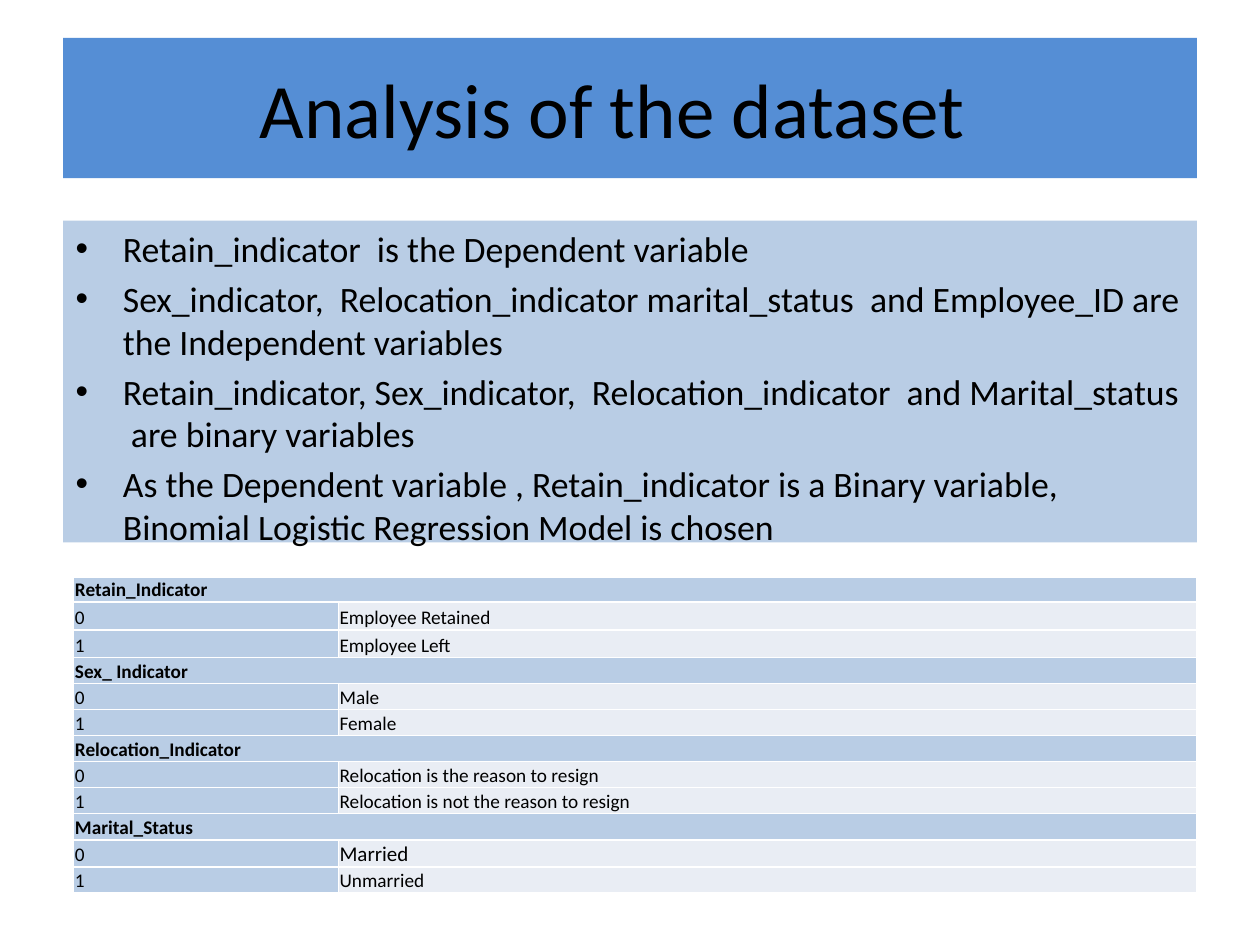
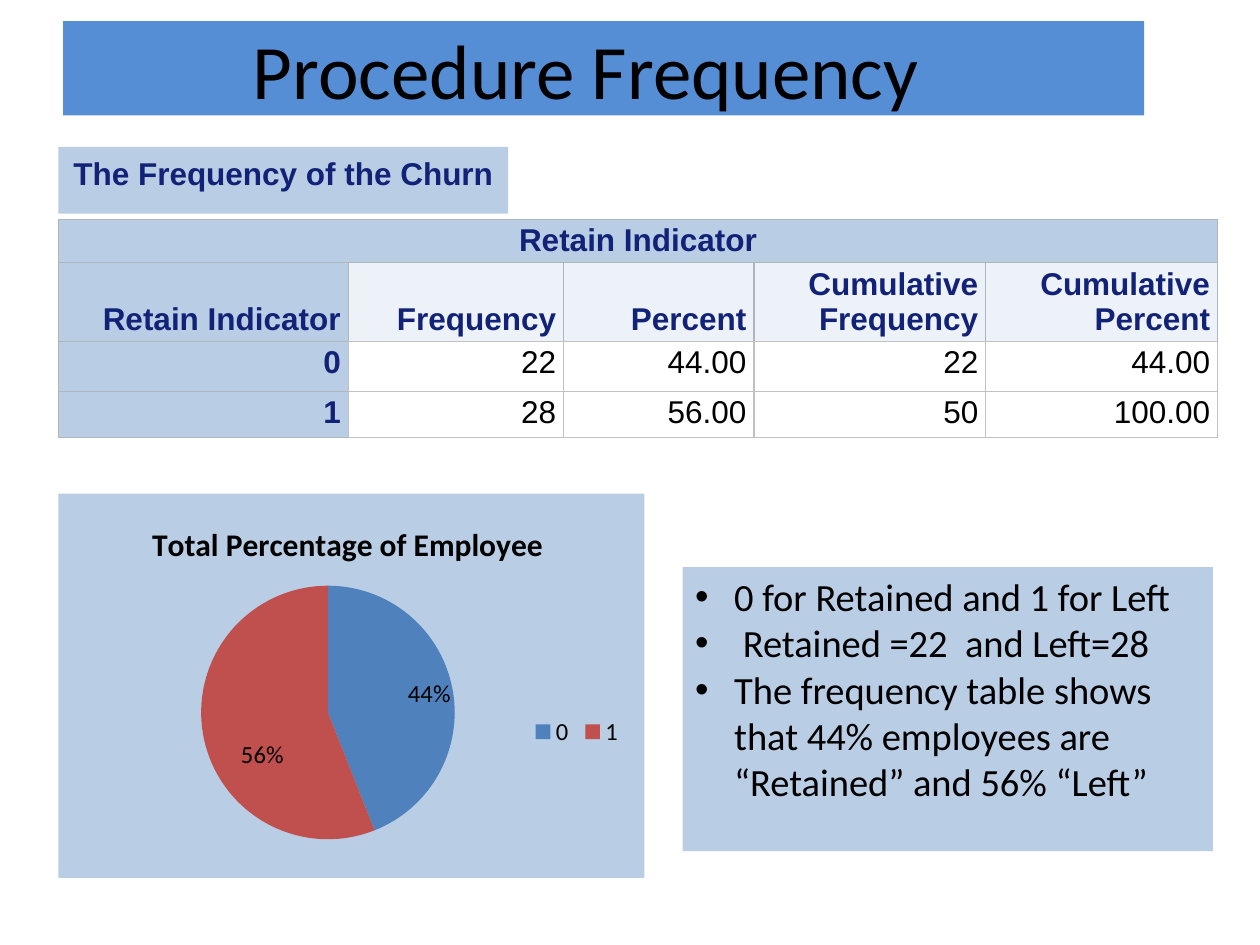
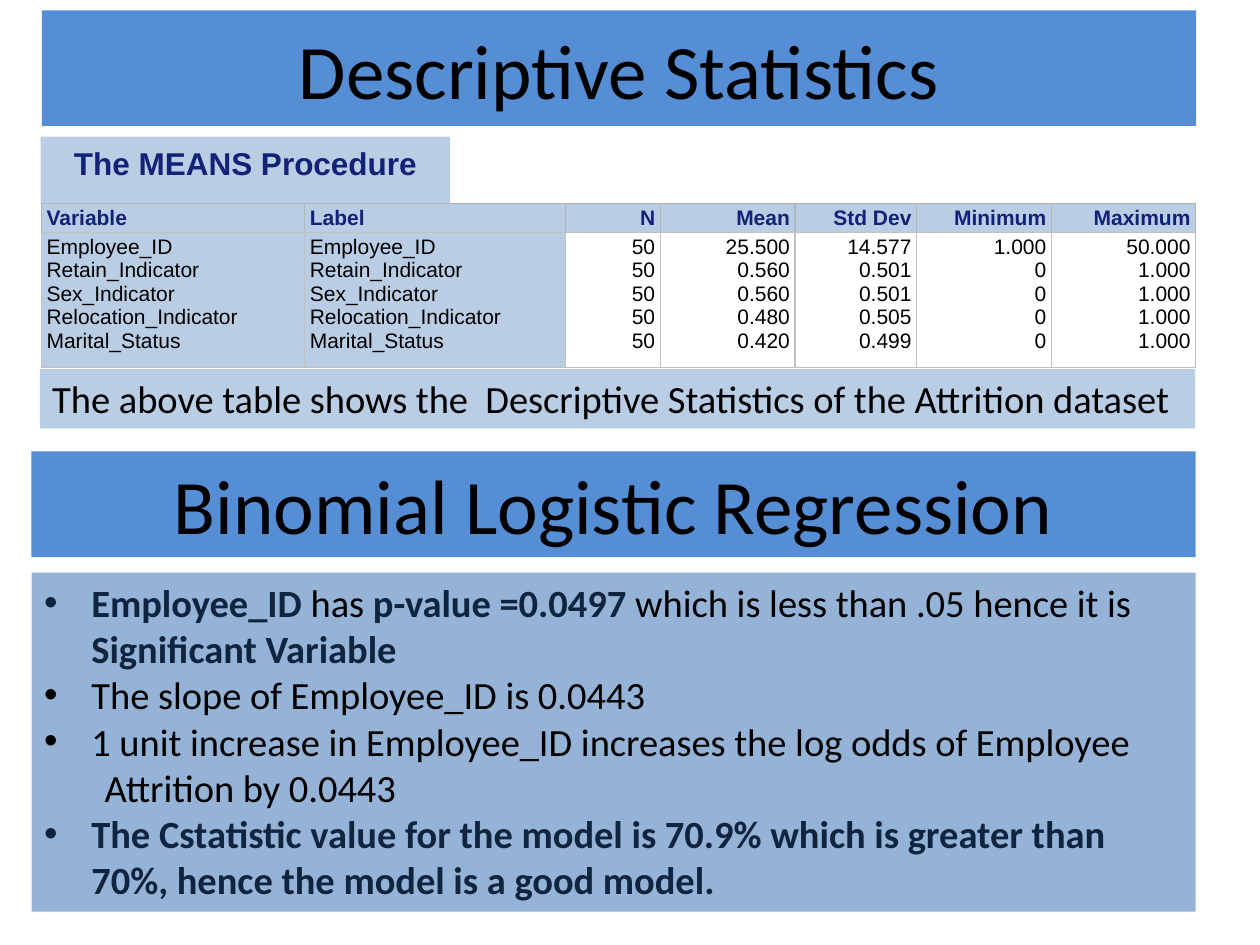
from dataclasses import dataclass, replace

from pptx import Presentation
from pptx.chart.data import CategoryChartData
from pptx.dml.color import RGBColor
from pptx.enum.chart import XL_CHART_TYPE as ChartType
from pptx.enum.chart import XL_LABEL_POSITION as LabelPos
from pptx.enum.chart import XL_LEGEND_POSITION as LegendPos
from pptx.enum.text import MSO_ANCHOR as Anchor
from pptx.enum.text import MSO_AUTO_SIZE as AutoSize
from pptx.enum.text import PP_ALIGN as Align
from pptx.oxml import parse_xml
from pptx.oxml.ns import nsdecls, qn
from pptx.util import Inches, Pt

COLUMNS, ROWS = 100, 75
CELL = Inches(0.1)

BAND = RGBColor(0x55, 0x8E, 0xD5)
PANEL = RGBColor(0xB9, 0xCD, 0xE5)
DEEP_PANEL = RGBColor(0x95, 0xB3, 0xD7)
PALE = RGBColor(0xE9, 0xED, 0xF4)
HEADER_PALE = RGBColor(0xED, 0xF2, 0xF9)
WHITE = RGBColor(0xFF, 0xFF, 0xFF)
BLACK = RGBColor(0x00, 0x00, 0x00)
NAVY = RGBColor(0x11, 0x22, 0x77)
INK = RGBColor(0x0F, 0x24, 0x3E)
RULE = RGBColor(0xC1, 0xC1, 0xC1)
HEADER_RULE = RGBColor(0xB0, 0xB7, 0xBB)
SLICES = (RGBColor(0x4F, 0x81, 0xBD), RGBColor(0xC0, 0x50, 0x4D))


@dataclass(frozen=True)
class Style:
    size: float
    font: str = "Calibri"
    color: RGBColor = BLACK
    bold: bool = False


@dataclass(frozen=True)
class Look:
    style: Style
    fill: RGBColor
    rule: RGBColor
    align: Align = Align.LEFT
    anchor: Anchor = Anchor.BOTTOM


TITLE = Style(44)
BODY = Style(22)
STRONG = Style(22, color=INK, bold=True)
LABEL = Style(18, "Arial", NAVY, True)


def grid(n):
    return int(n * CELL)


def place(sp, at):
    sp.left, sp.top, sp.width, sp.height = map(grid, at)


def style_font(f, style):
    f.size, f.name, f.bold = Pt(style.size), style.font, style.bold
    f.color.rgb = style.color


def add_run(p, text, style):
    r = p.add_run()
    r.text = text
    style_font(r.font, style)


def fill_panel(sp, at, color):
    place(sp, at)
    sp.fill.solid()
    sp.fill.fore_color.rgb = color
    tf = sp.text_frame
    tf.word_wrap = True
    tf.auto_size = AutoSize.NONE
    return tf


def add_title(s, text, at, right_inset=1):
    tf = fill_panel(s.shapes.title, at, BAND)
    tf.margin_right = grid(right_inset)
    add_run(tf.paragraphs[0], text, TITLE)


def add_bullets(s, items, at, color, hang, before=0):
    tf = fill_panel(s.placeholders[1], at, color)
    for i, runs in enumerate(items):
        p = tf.paragraphs[0] if i == 0 else tf.add_paragraph()
        p.space_before = Pt(before)
        pPr = p._p.get_or_add_pPr()
        pPr.set("marL", str(grid(hang)))
        pPr.set("indent", str(-grid(hang)))
        for text, style in runs:
            add_run(p, text, style)
    return tf


def drop_bullet(p, left):
    pPr = p._p.get_or_add_pPr()
    pPr.set("marL", str(grid(left)))
    pPr.set("indent", "0")
    pPr.append(parse_xml(f"<a:buNone {nsdecls('a')}/>"))


def add_text_panel(s, text, at, style, color=PANEL, align=Align.LEFT):
    tf = fill_panel(s.shapes.add_textbox(0, 0, 0, 0), at, color)
    tf.paragraphs[0].alignment = align
    add_run(tf.paragraphs[0], text, style)
    return tf


def add_label(s, text, at):
    tf = add_text_panel(s, text, at, LABEL, align=Align.CENTER)
    tf.vertical_anchor = Anchor.MIDDLE
    tf.margin_bottom = grid(1.7)


def add_borders(cell, color, width):
    tcPr = cell._tc.get_or_add_tcPr()
    for side in "LRTB":
        tcPr.append(parse_xml(
            f'<a:ln{side} {nsdecls("a")} w="{Pt(width)}"><a:solidFill>'
            f'<a:srgbClr val="{color}"/></a:solidFill></a:ln{side}>'))


def fill_cell(cell, paragraphs, look, insets, border):
    cell.margin_left, cell.margin_top, cell.margin_right, cell.margin_bottom = map(grid, insets)
    cell.vertical_anchor = look.anchor
    add_borders(cell, look.rule, border)
    cell.fill.solid()
    cell.fill.fore_color.rgb = look.fill
    tf = cell.text_frame
    for i, text in enumerate(paragraphs):
        p = tf.paragraphs[0] if i == 0 else tf.add_paragraph()
        p.alignment = look.align
        for k, line in enumerate(text.split("\n")):
            if k:
                p.add_line_break()
            add_run(p, line, look.style)


def add_grid_table(s, data, left, top, widths, heights, look_at, insets, border=0.75):
    at = map(grid, (left, top, sum(widths), sum(heights)))
    table = s.shapes.add_table(len(heights), len(widths), *at).table
    table.first_row = table.horz_banding = False
    for column, width in zip(table.columns, widths):
        column.width = grid(width)
    for row, height in zip(table.rows, heights):
        row.height = grid(height)
    for i, texts in enumerate(data):
        for j in range(len(widths)):
            content = texts[j] if j < len(texts) else ()
            paragraphs = (content,) if isinstance(content, str) else content
            fill_cell(table.cell(i, j), paragraphs, look_at(i, j), insets, border)
        if len(texts) == 1:
            table.cell(i, 0).merge(table.cell(i, len(widths) - 1))


def set_layout(parent, index, inner=False, edge=True, **sizes):
    for old in parent.findall(qn("c:layout")):
        parent.remove(old)
    target = '<c:layoutTarget val="inner"/>' if inner else ""
    modes = '<c:xMode val="edge"/><c:yMode val="edge"/>' if edge else ""
    values = "".join(f'<c:{name} val="{value}"/>' for name, value in sizes.items())
    parent.insert(index, parse_xml(
        f'<c:layout {nsdecls("c")}><c:manualLayout>{target}{modes}{values}'
        '</c:manualLayout></c:layout>'))


def label_slices(series):
    labels = series.data_labels
    labels.show_value = True
    style_font(labels.font, Style(14))

    retained = series.points[0].data_label
    style_font(retained.font, Style(14))
    retained.position = LabelPos.INSIDE_END
    dLbl = retained._get_or_add_dLbl()
    dLbl.find(qn("c:showVal")).set("val", "0")
    dLbl.find(qn("c:showPercent")).set("val", "1")
    set_layout(dLbl, 1, edge=False, x=0.01, y=-0.03)

    left = series.points[1].data_label
    add_run(left.text_frame.paragraphs[0], " 56%", Style(14))
    left.position = LabelPos.CENTER
    set_layout(left._get_or_add_dLbl(), 1, edge=False, x=-0.01, y=0.08)


def add_pie(s, title, categories, values, at):
    data = CategoryChartData()
    data.categories = categories
    data.add_series("Series 1", values)
    chart = s.shapes.add_chart(ChartType.PIE, *map(grid, at), data).chart
    style_font(chart.font, Style(10))
    chart.has_title = True
    add_run(chart.chart_title.text_frame.paragraphs[0], title, Style(18, bold=True))

    chart.has_legend = True
    chart.legend.position = LegendPos.TOP
    chart.legend.include_in_layout = False
    style_font(chart.legend.font, Style(14))

    plot = chart.plots[0]
    plot.vary_by_categories = True
    series = plot.series[0]
    for i, color in enumerate(SLICES):
        fill = series.points[i].format.fill
        fill.solid()
        fill.fore_color.rgb = color
    label_slices(series)

    space = chart._chartSpace
    set_layout(chart.chart_title._element, 1, x=0.15, y=0.06)
    set_layout(space.chart.plotArea, 0, inner=True, x=0.24, y=0.24, w=0.44, h=0.66)
    set_layout(chart.legend._element, 1, x=0.8, y=0.58, w=0.17, h=0.08)
    space.chart.addnext(parse_xml(
        f'<c:spPr {nsdecls("c", "a")}><a:solidFill><a:srgbClr val="{PANEL}"/></a:solidFill>'
        '<a:ln><a:noFill/></a:ln></c:spPr>'))


def dataset_slide(s):
    add_title(s, "Analysis of the dataset", (5, 3, 90, 11.15), right_inset=3.8)
    points = (
        "Retain_indicator  is the Dependent variable",
        "Sex_indicator,  Relocation_indicator marital_status  and Employee_ID are "
        "the Independent variables",
        "Retain_indicator, Sex_indicator,  Relocation_indicator  and Marital_status  "
        "are binary variables",
        "As the Dependent variable , Retain_indicator is a Binary variable, "
        "Binomial Logistic Regression Model is chosen",
    )
    add_bullets(s, [[(text, Style(20.4))] for text in points],
                (5, 17.5, 90, 25.55), PANEL, hang=3.75, before=4)
    codes = (
        ("Retain_Indicator", "Employee Retained", "Employee Left"),
        ("Sex_ Indicator", "Male", "Female"),
        ("Relocation_Indicator", "Relocation is the reason to resign",
         "Relocation is not the reason to resign"),
        ("Marital_Status", "Married", "Unmarried"),
    )
    data = [row for name, zero, one in codes for row in ((name,), ("0", zero), ("1", one))]

    def look_at(i, j):
        size = 12 if data[i][-1] == "Married" and j == 1 else 11
        heading = len(data[i]) == 1
        return Look(Style(size, bold=heading), PALE if j and not heading else PANEL, WHITE)

    heights = [1.95, 2.2, 2.2] + [2.07] * 7 + [2.15, 2.05]
    add_grid_table(s, data, 5.85, 45.8, (21, 68.1), heights,
                   look_at, (0.1, 0.1, 0.1, 0), border=1)


def frequency_slide(s):
    add_title(s, "Procedure Frequency", (5, 1.67, 85.8, 7.5), right_inset=3.75)
    add_label(s, "The Frequency of the Churn", (4.64, 11.67, 35.7, 5.3))
    data = (
        ("Retain Indicator",),
        ("Retain Indicator", "Frequency", "Percent", "Cumulative\nFrequency",
         "Cumulative\nPercent"),
        ("0", "22", "44.00", "22", "44.00"),
        ("1", "28", "56.00", "50", "100.00"),
    )
    header = Look(LABEL, PANEL, HEADER_RULE, Align.RIGHT)
    value = Look(Style(18, "Arial"), WHITE, RULE, Align.RIGHT, Anchor.TOP)

    def look_at(i, j):
        if i == 0:
            return replace(header, align=Align.CENTER)
        if i == 1:
            return replace(header, fill=HEADER_PALE if j else PANEL)
        return value if j else replace(header, anchor=Anchor.TOP)

    add_grid_table(s, data, 4.64, 17.42, (23, 17.1, 15.1, 18.4, 18.4), (3.4, 6.25, 3.97, 3.67),
                   look_at, (0.6, 0.3, 0.6, 0.3))
    add_pie(s, "Total Percentage of Employee", ("0", "1"), (22, 28), (4.64, 39.17, 46.5, 30.5))
    points = (
        "0 for Retained and 1 for Left",
        " Retained =22  and Left=28",
        "The frequency table shows that 44% employees are “Retained” and 56% “Left”",
    )
    add_bullets(s, [[(text, BODY)] for text in points], (54.17, 45, 42.1, 22.55), PANEL, hang=3.1)


def statistics_slide(s):
    add_title(s, "Descriptive Statistics", (3.33, 0.83, 91.6, 9.17))
    add_label(s, "The MEANS Procedure", (3.23, 10.85, 32.5, 5.3))
    names = ("Employee_ID", "Retain_Indicator", "Sex_Indicator",
             "Relocation_Indicator", "Marital_Status")
    data = (
        ("Variable", "Label", "N", "Mean", "Std Dev", "Minimum", "Maximum"),
        (names, names, ["50"] * 5,
         ("25.500", "0.560", "0.560", "0.480", "0.420"),
         ("14.577", "0.501", "0.501", "0.505", "0.499"),
         ["1.000"] + ["0"] * 4,
         ["50.000"] + ["1.000"] * 4),
    )

    def look_at(i, j):
        align = Align.LEFT if j < 2 else Align.RIGHT
        if i == 0:
            return Look(Style(12, "Arial", NAVY, True), PANEL, HEADER_RULE, align)
        return Look(Style(12, "Arial"), PANEL if j < 2 else WHITE, RULE, align, Anchor.TOP)

    add_grid_table(s, data, 3.3, 16.15, (20.9, 20.7, 7.5, 10.7, 9.65, 10.7, 11.45), (2.3, 10.7),
                   look_at, (0.4, 0.2, 0.4, 0.2))
    add_text_panel(s, "The above table shows the  Descriptive Statistics of the Attrition dataset",
                   (3.16, 29.3, 91.7, 4.7), BODY)
    add_text_panel(s, "Binomial Logistic Regression", (2.5, 35.83, 92.4, 8.4), TITLE,
                   BAND, Align.CENTER)
    findings = (
        [("Employee_ID", STRONG), (" has", BODY), (" p-value =0.0497 ", STRONG),
         ("which is less than .05 hence it is ", BODY), ("Significant Variable", STRONG)],
        [("The slope of Employee_ID is 0.0443", BODY)],
        [("1 unit increase in Employee_ID increases the log odds of Employee", BODY)],
        [("Attrition by 0.0443", BODY)],
        [("The Cstatistic value for the model is 70.9% which is greater than 70%, "
          "hence the model is a good model.", STRONG)],
    )
    tf = add_bullets(s, findings, (2.5, 45.45, 92.4, 26.9), DEEP_PANEL, hang=3.75)
    drop_bullet(tf.paragraphs[3], 4.8)


def main():
    prs = Presentation()
    prs.slide_width, prs.slide_height = grid(COLUMNS), grid(ROWS)
    for build in (dataset_slide, frequency_slide, statistics_slide):
        build(prs.slides.add_slide(prs.slide_layouts[1]))
    prs.save("out.pptx")


if __name__ == "__main__":
    main()
